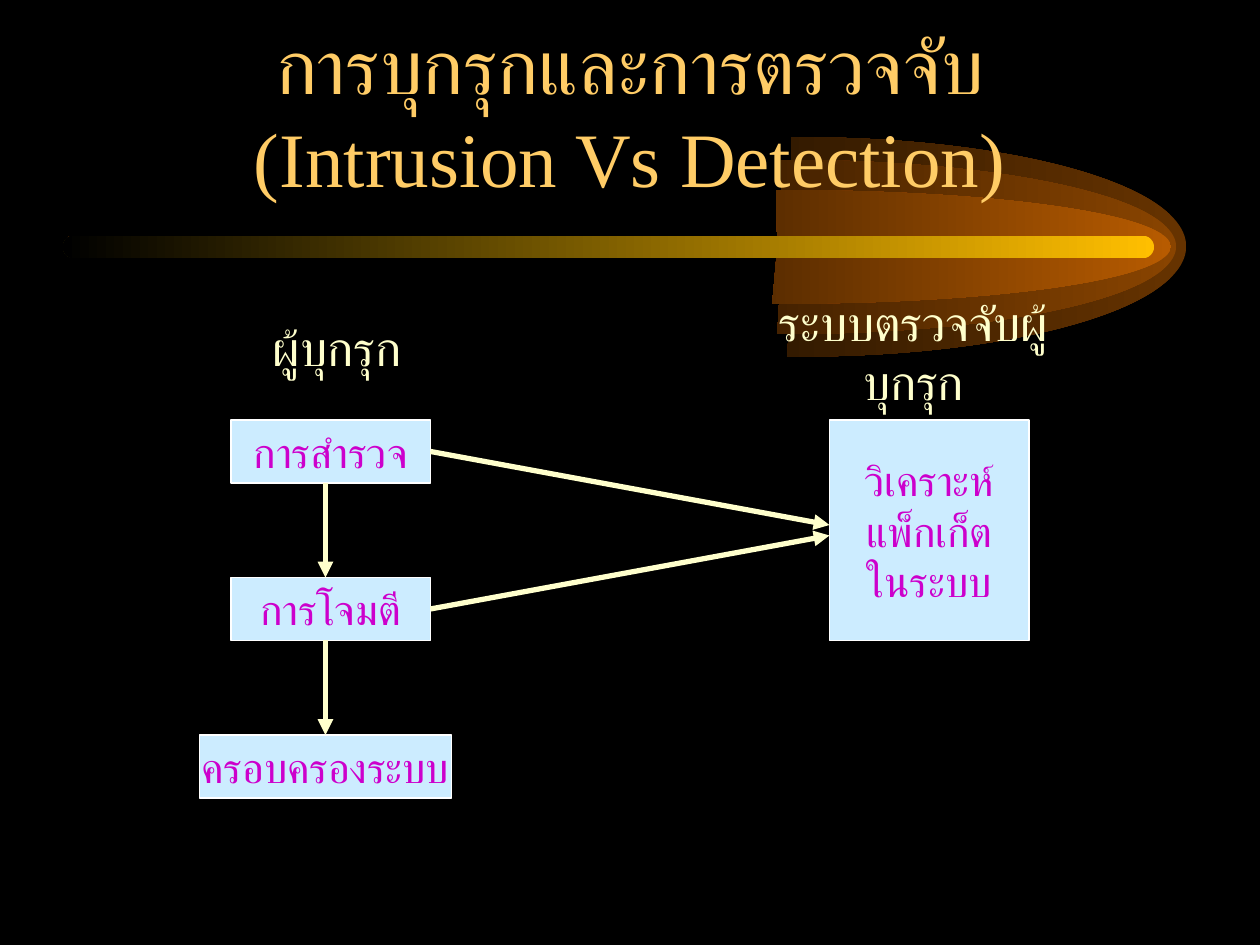
"""Build the slide comparing intrusion steps with their detection."""
from dataclasses import dataclass

from pptx import Presentation
from pptx.dml import color
from pptx.enum import shapes, text
from pptx.oxml import ns
from pptx.util import Inches, Pt
from lxml import etree

CREAM = "FFFFCC"
THAI_FONT = "Times New Roman"
BEAM_Y = 1.96
FAN_REACH = 3.13
UNITS_PER_INCH = 12
FAN_CURVE = [
    (0, -1), (1.12, -1.01), (2.16, -0.82), (2.72, -0.51), (3.28, -0.2),
    (3.27, 0.2), (2.71, 0.51), (2.15, 0.82), (1.11, 1.01), (-0.03, 1),
]


@dataclass
class Fan:
    center: float
    radius: float
    hue: str


@dataclass
class Block:
    left: int
    top: int
    width: int
    height: int
    lines: tuple[str, ...]


@dataclass
class Label:
    left: float
    top: float
    width: float
    height: float
    wording: str
    font: str
    wrap: bool


@dataclass
class Arrow:
    x1: int
    y1: int
    x2: int
    y2: int


FANS = [Fan(6.28, 0.87, "663300"), Fan(6.2, 0.69, "894400"), Fan(6.16, 0.45, "B75B00")]
BLOCKS = [
    Block(22, 40, 19, 6, ("การสำรวจ",)),
    Block(22, 55, 19, 6, ("การโจมตี",)),
    Block(19, 70, 24, 6, ("ครอบครองระบบ",)),
    Block(79, 40, 19, 21, ("วิเคราะห์", "แพ็กเก็ต", "ในระบบ")),
]
LABELS = [
    Label(2.07, 2.47, 1.21, 0.57, "ผู้บุกรุก", "Arial", False),
    Label(6, 2.27, 2.5, 1.04, "ระบบตรวจจับผู้บุกรุก", "Lato", True),
]
ARROWS = [
    Arrow(31, 46, 31, 55),
    Arrow(31, 61, 31, 70),
    Arrow(41, 58, 79, 51),
    Arrow(41, 43, 79, 50),
]


def rgb(value: str) -> color.RGBColor:
    return color.RGBColor.from_string(value)


def grid(*units: int) -> list[int]:
    return [Inches(unit / UNITS_PER_INCH) for unit in units]


def write(shape, lines: tuple[str, ...], font: str, size: int, hue: str, wrap: bool) -> None:
    frame = shape.text_frame
    frame.auto_size = text.MSO_AUTO_SIZE.NONE
    frame.word_wrap = wrap
    frame.vertical_anchor = text.MSO_ANCHOR.MIDDLE
    for index, line in enumerate(lines):
        para = frame.add_paragraph() if index else frame.paragraphs[0]
        para.alignment = text.PP_ALIGN.CENTER
        span = para.add_run()
        span.text = line
        span.font.name = font
        span.font.size = Pt(size)
        span.font.color.rgb = rgb(hue)
        complex_font = etree.SubElement(span.font._element, ns.qn("a:cs"))
        complex_font.set("typeface", THAI_FONT)


def shade(shape, hue: str) -> None:
    shape.shadow.inherit = False
    shape.line.fill.background()
    shape.fill.gradient()
    shape.fill.gradient_angle = 180
    for stop, stop_hue in zip(shape.fill.gradient_stops, (hue, "000000")):
        stop.color.rgb = rgb(stop_hue)


def add_step(outline, tag: str, points: list[tuple[float, float]], radius: float) -> None:
    step = etree.SubElement(outline, ns.qn(tag))
    for x, y in points:
        point = etree.SubElement(step, ns.qn("a:pt"))
        point.set("x", str(int(Inches(FAN_REACH + x))))
        point.set("y", str(int(Inches(radius * (1 + y)))))


def draw_fan(page, fan: Fan) -> None:
    left, right = Inches(fan.center - FAN_REACH), Inches(fan.center + FAN_REACH)
    top, bottom = Inches(BEAM_Y - fan.radius), Inches(BEAM_Y + fan.radius)
    builder = page.shapes.build_freeform(left, top)
    builder.add_line_segments([(right, top), (right, bottom), (left, bottom)], close=True)
    shape = builder.convert_to_shape()
    filled = shape.element.find(".//" + ns.qn("a:path"))
    for step in list(filled):
        filled.remove(step)
    edge = etree.SubElement(filled.getparent(), ns.qn("a:path"), dict(filled.attrib))
    edge.set("fill", "none")
    filled.set("stroke", "0")
    for outline in (filled, edge):
        add_step(outline, "a:moveTo", FAN_CURVE[:1], fan.radius)
        for start in range(1, len(FAN_CURVE), 3):
            add_step(outline, "a:cubicBezTo", FAN_CURVE[start:start + 3], fan.radius)
    add_step(filled, "a:lnTo", [(0.01, 0)], fan.radius)
    etree.SubElement(filled, ns.qn("a:close"))
    shade(shape, fan.hue)


def draw_beam(page) -> None:
    beam = page.shapes.add_shape(
        shapes.MSO_SHAPE.ROUNDED_RECTANGLE, Inches(0.5), Inches(1.87), Inches(8.66), Inches(0.18)
    )
    beam.adjustments[0] = 0.5
    shade(beam, "FFBF00")


def draw_title(page) -> None:
    title = page.shapes.title
    title.left, title.top = Inches(0.75), Inches(0.25)
    title.width, title.height = Inches(8.5), Inches(1.25)
    lines = ("การบุกรุกและการตรวจจับ", "(Intrusion Vs Detection)")
    write(title, lines, "Times New Roman", 44, "FFCC66", True)
    title.element.getparent().append(title.element)


def draw_block(page, block: Block) -> None:
    box = page.shapes.add_shape(
        shapes.MSO_SHAPE.RECTANGLE, *grid(block.left, block.top, block.width, block.height)
    )
    box.shadow.inherit = False
    box.fill.solid()
    box.fill.fore_color.rgb = rgb("CCECFF")
    box.line.color.rgb = rgb("FFFFFF")
    box.line.width = Pt(1)
    write(box, block.lines, "Lato", 24, "CC00CC", False)


def draw_label(page, label: Label) -> None:
    box = page.shapes.add_textbox(
        Inches(label.left), Inches(label.top), Inches(label.width), Inches(label.height)
    )
    write(box, (label.wording,), label.font, 28, CREAM, label.wrap)


def draw_arrow(page, arrow: Arrow) -> None:
    line = page.shapes.add_connector(
        shapes.MSO_CONNECTOR.STRAIGHT, *grid(arrow.x1, arrow.y1, arrow.x2, arrow.y2)
    )
    line.line.color.rgb = rgb(CREAM)
    line.line.width = Pt(3)
    outline = line.line._get_or_add_ln()
    etree.SubElement(outline, ns.qn("a:tailEnd")).set("type", "triangle")
    etree.SubElement(outline.getparent(), ns.qn("a:effectLst"))


def main() -> None:
    deck = Presentation()
    deck.slide_width, deck.slide_height = Inches(10), Inches(7.5)
    page = deck.slides.add_slide(deck.slide_layouts.get_by_name("Title Only"))
    page.background.fill.solid()
    page.background.fill.fore_color.rgb = rgb("000000")
    for fan in FANS:
        draw_fan(page, fan)
    draw_beam(page)
    draw_title(page)
    for draw, items in ((draw_block, BLOCKS), (draw_label, LABELS), (draw_arrow, ARROWS)):
        for item in items:
            draw(page, item)
    deck.save("out.pptx")


if __name__ == "__main__":
    main()
